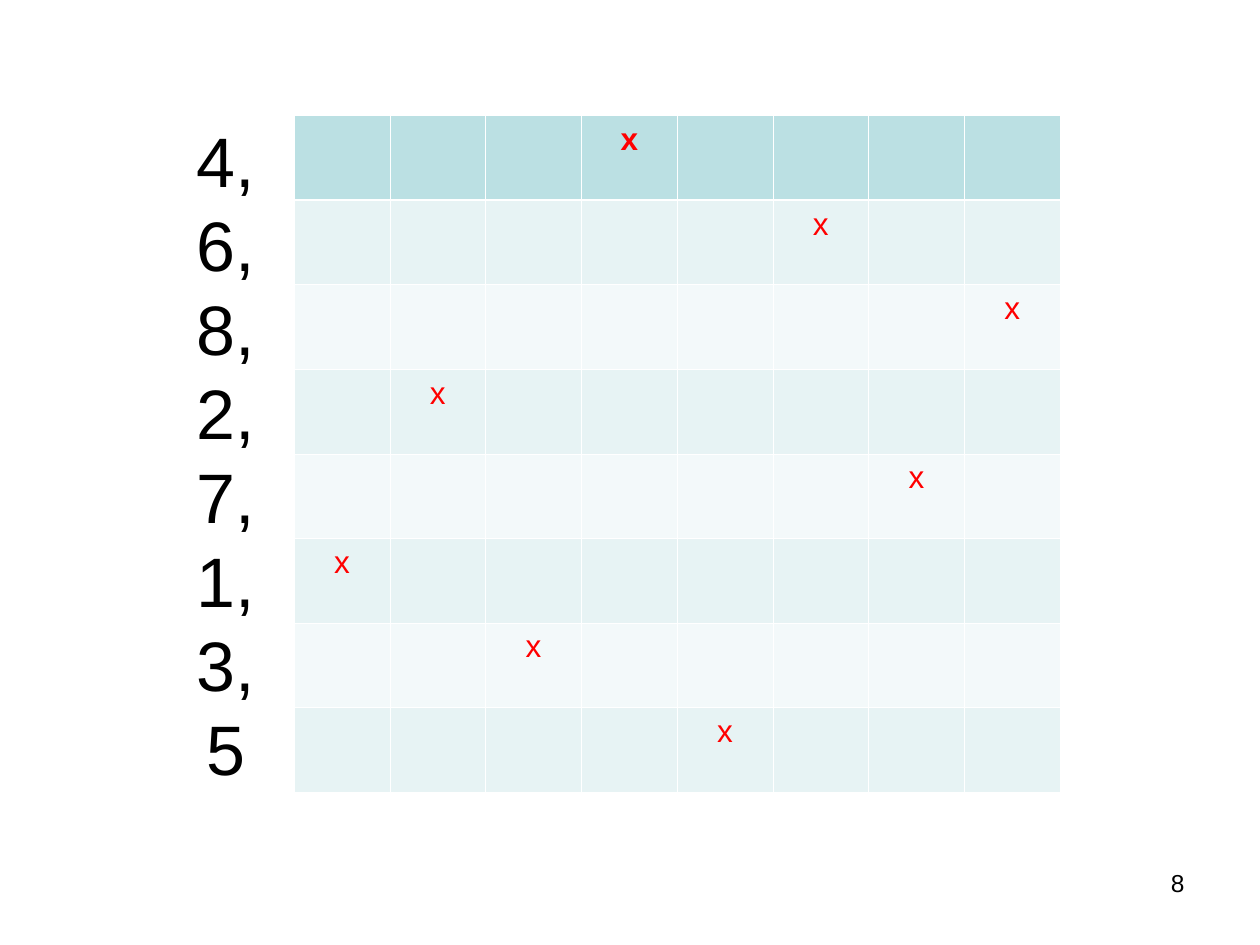
from lxml.etree import SubElement
from pptx import Presentation
from pptx.dml.color import RGBColor
from pptx.enum.text import MSO_ANCHOR as Anchor, PP_ALIGN as Align
from pptx.oxml.ns import qn
from pptx.util import Cm, Pt

BLACK = RGBColor(0x00, 0x00, 0x00)
WHITE = RGBColor(0xFF, 0xFF, 0xFF)
RED = RGBColor(0xFF, 0x00, 0x00)
TEAL = RGBColor(0xBB, 0xE0, 0xE3)
PALE = RGBColor(0xE7, 0xF3, 0xF4)
PALER = RGBColor(0xF3, 0xF9, 0xFA)

FONT = "Arial"
PERMUTATION = [4, 6, 8, 2, 7, 1, 3, 5]
THIN, THICK = Pt(0.45), Pt(1.47)


def write(para, text, size, color, align, bold=False):
    para.alignment = align
    span = para.add_run()
    span.text = text
    span.font.name = FONT
    span.font.size = Pt(size)
    span.font.bold = bold
    span.font.color.rgb = color


def add_text_box(page, left, top, width, height, inset_x, inset_y, anchor):
    frame = page.shapes.add_textbox(left, top, width, height).text_frame
    frame.word_wrap = True
    frame.vertical_anchor = anchor
    frame.margin_left = frame.margin_right = inset_x
    frame.margin_top = frame.margin_bottom = inset_y
    return frame


def add_sequence(page, left, top, width, height):
    """The numbers wrap to one per line, level with the table rows."""
    frame = add_text_box(page, left, top, width, height, 0, 0, Anchor.MIDDLE)
    para = frame.paragraphs[0]
    para.line_spacing = Pt(48)
    write(para, ", ".join(map(str, PERMUTATION)), 40, BLACK, Align.CENTER)


def set_borders(cell, row):
    widths = {
        "a:lnL": THIN,
        "a:lnR": THIN,
        "a:lnT": THICK if row == 1 else THIN,
        "a:lnB": THICK if row == 0 else THIN,
    }
    properties = cell._tc.get_or_add_tcPr()
    for tag, width in widths.items():
        line = SubElement(properties, qn(tag), w=str(int(width)))
        fill = SubElement(line, qn("a:solidFill"))
        SubElement(fill, qn("a:srgbClr"), val=str(WHITE))


def add_board(page, left, top, width, height):
    """A square board with one mark per row, in the column of its number."""
    count = len(PERMUTATION)
    board = page.shapes.add_table(count, count, left, top, width, height).table
    for column in board.columns:
        column.width = width // count
    for row, number in enumerate(PERMUTATION):
        board.rows[row].height = height // count
        shade = TEAL if row == 0 else PALE if row % 2 else PALER
        for cell in board.rows[row].cells:
            set_borders(cell, row)
            cell.fill.solid()
            cell.fill.fore_color.rgb = shade
        para = board.cell(row, number - 1).text_frame.paragraphs[0]
        write(para, "x", 18, RED, Align.CENTER, bold=row == 0)


def add_page_number(page, left, top, width, height):
    frame = add_text_box(page, left, top, width, height,
                         Cm(0.25), Cm(0.13), Anchor.TOP)
    write(frame.paragraphs[0], "8", 14, BLACK, Align.RIGHT)


def main():
    deck = Presentation()
    deck.slide_width, deck.slide_height = Cm(25.4), Cm(19.05)
    page = deck.slides.add_slide(deck.slide_layouts[6])
    page.background.fill.solid()
    page.background.fill.fore_color.rgb = WHITE

    # Number sequence and board share top and height
    top, height = Cm(2.33), Cm(13.64)
    add_sequence(page, Cm(3.39), top, Cm(2.33), height)
    add_page_number(page, Cm(21.8), Cm(17.36), Cm(2.33), Cm(1.31))
    add_board(page, Cm(5.93), top, Cm(15.44), height)

    deck.save("out.pptx")


if __name__ == "__main__":
    main()
